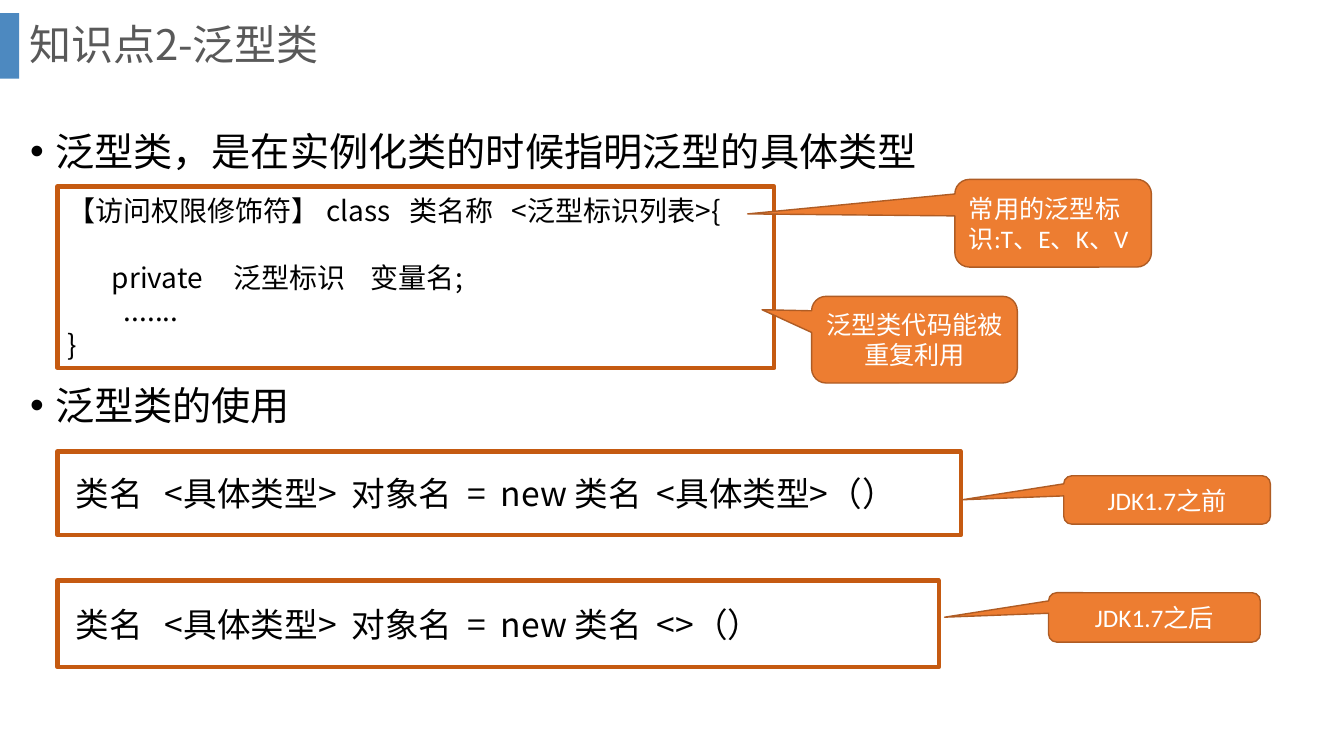
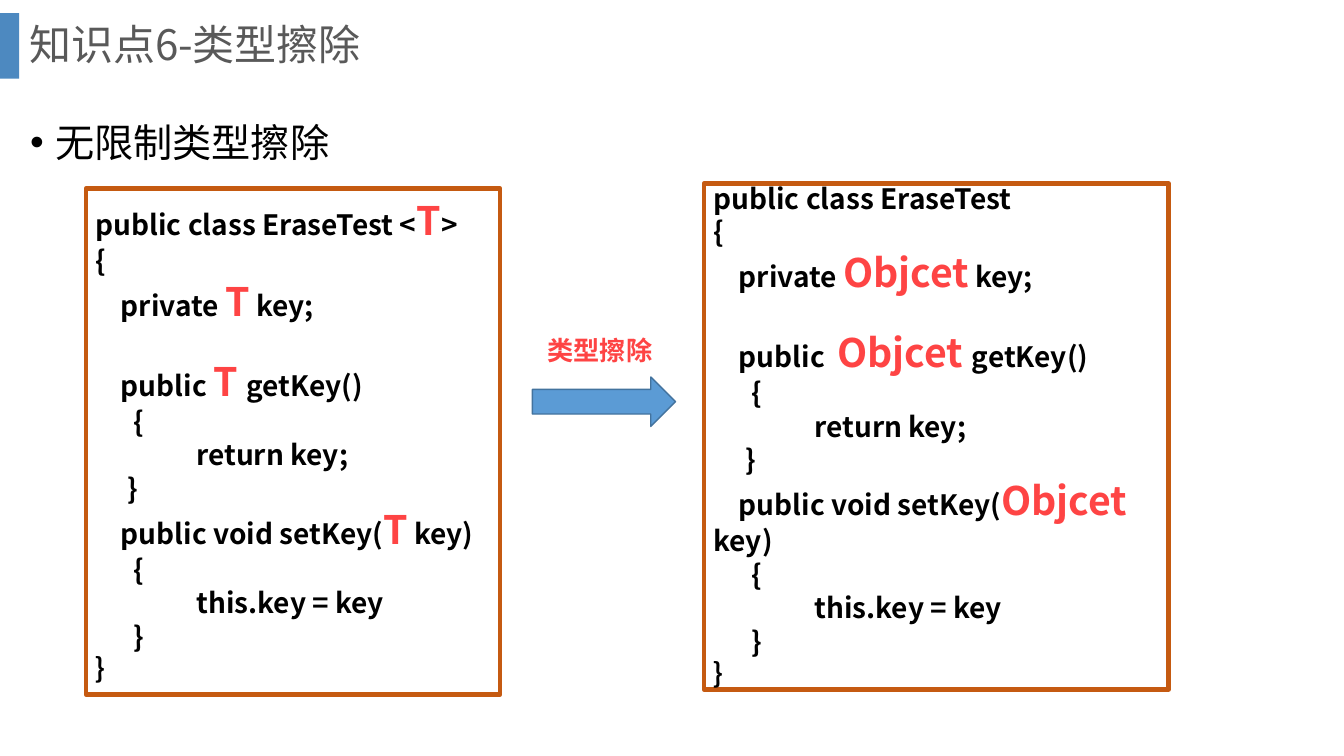
from pptx import Presentation
from pptx.dml.color import RGBColor
from pptx.enum import shapes, text
from pptx.oxml import xmlchemy
from pptx.util import Inches, Pt

BLACK = RGBColor(0, 0, 0)
WHITE = RGBColor(255, 255, 255)
TITLE_GREY = RGBColor(0x59, 0x59, 0x59)
BAND_BLUE = RGBColor(0x2E, 0x75, 0xB6)
ARROW_BLUE = RGBColor(0x5B, 0x9B, 0xD5)
ARROW_EDGE = RGBColor(0x43, 0x73, 0x9E)
FRAME_BROWN = RGBColor(0xC5, 0x5A, 0x11)
CALLOUT_ORANGE = RGBColor(0xED, 0x7D, 0x31)
CALLOUT_EDGE = RGBColor(0xAF, 0x5C, 0x24)
ACCENT_RED = RGBColor(0xFE, 0x44, 0x44)

CJK = "Noto Sans CJK SC"
LATIN = "Calibri"
SHAPE = shapes.MSO_SHAPE
ALIGN = text.PP_ALIGN
BLANK_LINE = 23.5  # points, one line at 20 pt
SPACE_WIDTH = 0.22  # of the text size


def add_child(parent, tag, **attributes):
    child = xmlchemy.OxmlElement(tag)
    for key, value in attributes.items():
        child.set(key, str(value))
    parent.append(child)
    return child


def add_run(paragraph, words, size, color=BLACK, font=CJK, bold=False):
    run = paragraph.add_run()
    run.text = words
    run.font.size = Pt(size)
    run.font.name = font
    run.font.bold = bold
    run.font.color.rgb = color
    add_child(run.font._element, "a:ea", typeface=CJK)
    return run


def add_gap(paragraph, spaces, size):
    """Add one space, tracked out to the width of several."""
    gap = add_run(paragraph, " ", size)
    tracking = round((spaces - 1) * SPACE_WIDTH * size * 100)
    gap.font._element.set("spc", str(tracking))


def set_frame(shape):
    frame = shape.text_frame
    frame.word_wrap = True
    frame.vertical_anchor = text.MSO_ANCHOR.MIDDLE
    frame.paragraphs[0].alignment = ALIGN.LEFT
    return frame


def add_box(slide, kind, box, fill=None, edge=None, width=1):
    shape = slide.shapes.add_shape(kind, *map(Inches, box))
    shape.shadow.inherit = False
    if fill is None:
        shape.fill.background()
    else:
        shape.fill.solid()
        shape.fill.fore_color.rgb = fill
    if edge is None:
        shape.line.fill.background()
    else:
        shape.line.color.rgb = edge
        shape.line.width = Pt(width)
    return shape


def add_label(slide, box, words, size, color=BLACK, bold=False):
    """Add one line of text, centred in height, and return its paragraph."""
    label = slide.shapes.add_textbox(*map(Inches, box))
    paragraph = set_frame(label).paragraphs[0]
    add_run(paragraph, words, size, color, bold=bold)
    return paragraph


def add_titled_slide(deck, title):
    slide = deck.slides.add_slide(deck.slide_layouts[6])
    band = add_box(slide, SHAPE.RECTANGLE, (0, 0.13, 0.19, 0.65), BAND_BLUE)
    tint = band.fill._xPr.find(".//{*}srgbClr")
    add_child(tint, "a:alpha", val=85000)
    heading = add_label(slide, (0.19, 0, 12.66, 0.93), title, 30, TITLE_GREY)
    heading.line_spacing = 0.9
    return slide


def add_bullet(slide, middle, words):
    paragraph = add_label(slide, (0.2, middle - 0.35, 12.9, 0.7), words, 28)
    properties = paragraph._p.get_or_add_pPr()
    properties.set("marL", str(Inches(0.25)))
    properties.set("indent", str(Inches(-0.25)))
    add_child(properties, "a:buFont", typeface="Arial")
    add_child(properties, "a:buChar", char="•")


def add_code(slide, box, lines, size=20, bold=False):
    """Each line is (indent, space before, parts).

    A number among the parts is a gap of that many spaces; *word* is accented.
    """
    frame = set_frame(add_box(slide, SHAPE.FLOWCHART_PROCESS, box,
                              edge=FRAME_BROWN, width=3))
    for index, (indent, before, parts) in enumerate(lines):
        paragraph = frame.add_paragraph() if index else frame.paragraphs[0]
        paragraph.alignment = ALIGN.LEFT
        paragraph.space_before = Pt(before)
        paragraph._p.get_or_add_pPr().set("indent", str(Inches(indent)))
        for part in parts:
            if isinstance(part, int):
                add_gap(paragraph, part, size)
                continue
            for position, piece in enumerate(part.split("*")):
                if piece:
                    accent = position % 2
                    add_run(paragraph, piece, 28 if accent else size,
                            ACCENT_RED if accent else BLACK, bold=bold)


def add_callout(slide, box, tip, words, align=ALIGN.CENTER):
    callout = add_box(slide, SHAPE.ROUNDED_RECTANGULAR_CALLOUT, box,
                      CALLOUT_ORANGE, CALLOUT_EDGE)
    callout.adjustments[0], callout.adjustments[1] = tip
    paragraph = set_frame(callout).paragraphs[0]
    paragraph.alignment = align
    add_run(paragraph, words, 18, WHITE, LATIN)


def add_class_code(slide, box, declaration, kept_type, getter_gap):
    add_code(slide, box, [
        (0, 0, [declaration]),
        (0, 0, ["{"]),
        (0.25, 0, [f"private *{kept_type}* key;"]),
        (0.25, BLANK_LINE, ["public", getter_gap, f"*{kept_type} *getKey()"]),
        (0.38, 0, ["{"]),
        (1, 0, ["return key;"]),
        (0.32, 0, ["}"]),
        (0.25, 0, [f"public void setKey(*{kept_type}* key)"]),
        (0.38, 0, ["{"]),
        (1, 0, ["this.key = key"]),
        (0.38, 0, ["}"]),
        (0, 0, ["｝"]),
    ], bold=True)


def build_generic_class(deck):
    slide = add_titled_slide(deck, "知识点2-泛型类")
    add_bullet(slide, 1.5, "泛型类，是在实例化类的时候指明泛型的具体类型")
    add_bullet(slide, 4.02, "泛型类的使用")
    add_code(slide, (0.57, 1.85, 7.11, 1.8), [
        (0, 0, ["【访问权限修饰符】", 1, "class", 3, "类名称", 3, "<泛型标识列表>{"]),
        (0.44, BLANK_LINE, ["private", 5, "泛型标识", 4, "变量名;"]),
        (0.56, 0, ["......."]),
        (0, 0, ["}"]),
    ])
    add_callout(slide, (8.05, 2.94, 2.04, 0.86), (-0.741, -0.345),
                "泛型类代码能被 重复利用")
    add_callout(slide, (9.47, 1.78, 1.95, 0.87), (-1.554, -0.106),
                "常用的泛型标识:T、E、K、V", ALIGN.LEFT)

    usages = [
        ((0.57, 4.48, 8.96, 0.83), "<具体类型>（）",
         (10.55, 4.72, 2.05, 0.48), "JDK1.7之前"),
        ((0.57, 5.76, 8.74, 0.86), "<>（）",
         (10.4, 5.88, 2.1, 0.49), "JDK1.7之后"),
    ]
    for code_box, ending, note_box, note in usages:
        usage = ["类名", 3, "<具体类型>", 2, "对象名", 2, "=", 2,
                 "new", 1, "类名", 2, ending]
        add_code(slide, code_box, [(0.08, 0, usage)], size=24)
        add_callout(slide, note_box, (-0.991, -0.004), note)


def build_type_erasure(deck):
    slide = add_titled_slide(deck, "知识点6-类型擦除")
    add_bullet(slide, 1.41, "无限制类型擦除")
    add_class_code(slide, (0.85, 1.87, 4.11, 5.02),
                   "public class EraseTest <*T*>", "T", 1)
    add_class_code(slide, (6.98, 1.82, 4.61, 5.02),
                   "public class EraseTest", "Objcet", 2)
    add_box(slide, SHAPE.RIGHT_ARROW, (5.28, 3.74, 1.42, 0.49),
            ARROW_BLUE, ARROW_EDGE)
    caption = add_label(slide, (5.28, 3.2, 1.34, 0.54), "类型擦除", 18.7,
                        ACCENT_RED, bold=True)
    caption.alignment = ALIGN.CENTER


def main():
    deck = Presentation()
    deck.slide_width, deck.slide_height = Inches(13.33), Inches(7.5)
    build_generic_class(deck)
    build_type_erasure(deck)
    deck.save("out.pptx")


if __name__ == "__main__":
    main()
